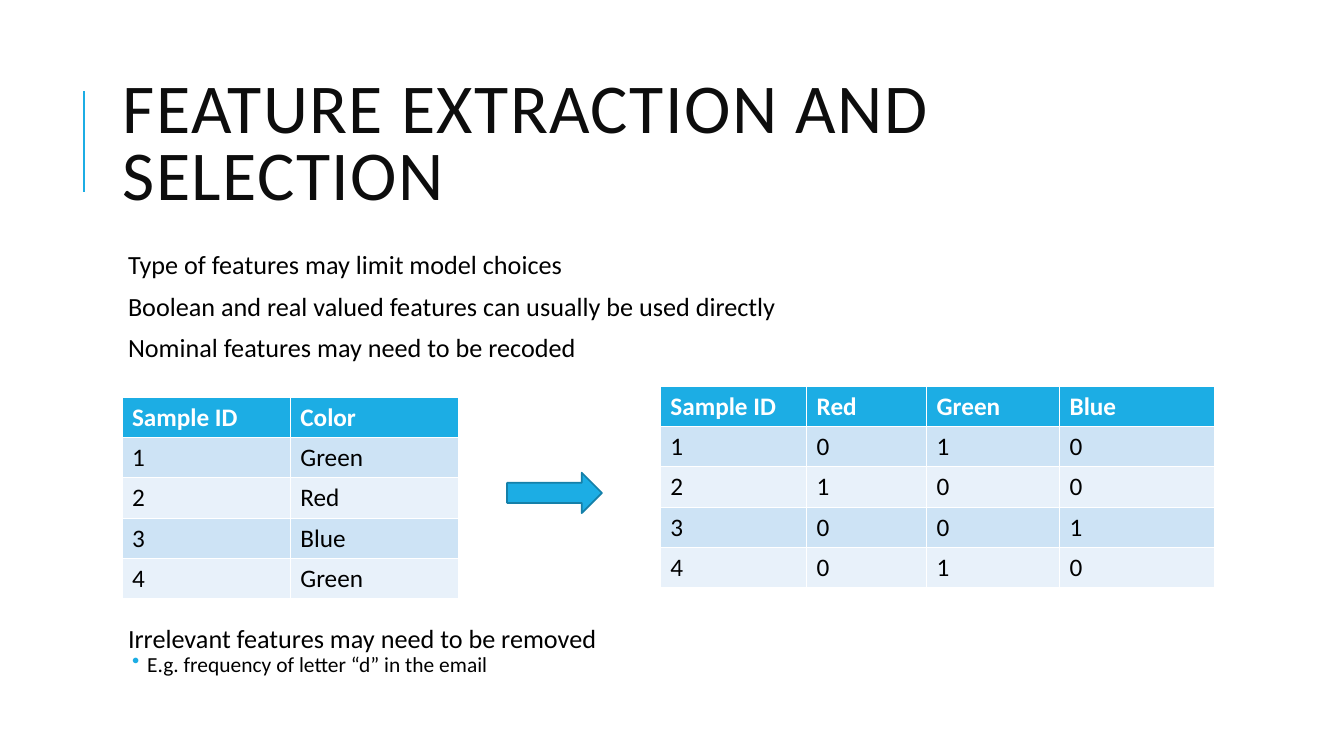
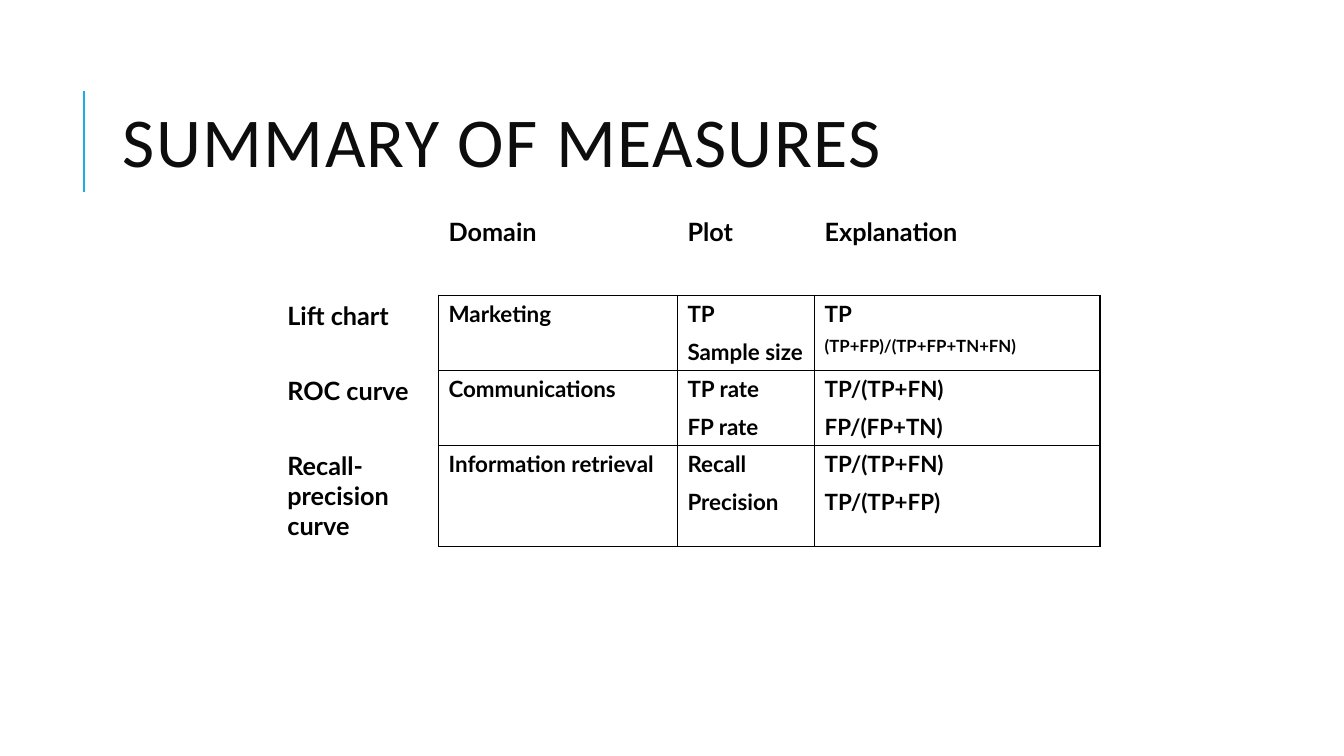
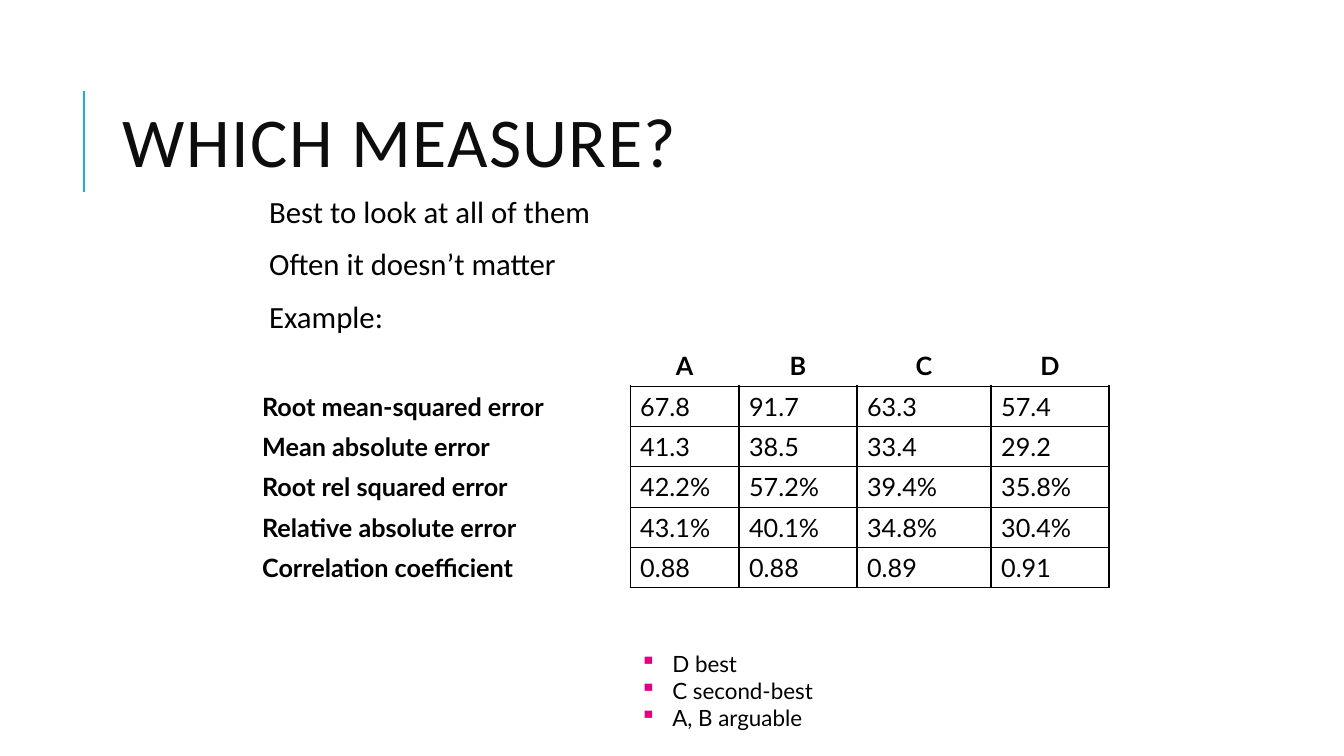
from lxml import etree
from pptx import Presentation
from pptx import util as u
from pptx.dml.color import RGBColor
from pptx.enum import shapes, text
from pptx.oxml import ns

BLUE = RGBColor(0x1C, 0xAD, 0xE4)
DARK_BLUE = RGBColor(0x15, 0x80, 0xA9)
BAND_DARK = RGBColor(0xCD, 0xE3, 0xF5)
BAND_LIGHT = RGBColor(0xE8, 0xF1, 0xFA)
PINK = RGBColor(0xE2, 0x00, 0x7F)
TITLE_INK = RGBColor(0x0D, 0x0D, 0x0D)
BLACK = RGBColor(0, 0, 0)
WHITE = RGBColor(0xFF, 0xFF, 0xFF)


def add_lines(frame, lines, size, font="Calibri", color=BLACK, bold=False, before=0, after=0,
              spacing=1.0, margin=0, hanging=0, bullet=None, bullet_color=BLUE):
    for line in lines:
        paragraph = frame.add_paragraph() if frame.text else frame.paragraphs[0]
        paragraph.line_spacing = spacing
        paragraph.space_before = u.Pt(before)
        paragraph.space_after = u.Pt(after)
        properties = paragraph._p.get_or_add_pPr()
        properties.set("marL", str(u.Inches(margin)))
        properties.set("indent", str(-u.Inches(hanging)))
        if bullet:
            holder = etree.SubElement(properties, ns.qn("a:buClr"))
            etree.SubElement(holder, ns.qn("a:srgbClr"), val=str(bullet_color))
            etree.SubElement(properties, ns.qn("a:buChar"), char=bullet)
        run = paragraph.add_run()
        run.text = line
        run.font.size = u.Pt(size)
        run.font.name = font
        run.font.bold = bold
        run.font.color.rgb = color


def add_grid(slide, left, top, widths, heights, rows, ruled=False, body_size=18, body_bold=False):
    table = slide.shapes.add_table(len(rows), len(widths), u.Inches(left), u.Inches(top),
                                   u.Inches(sum(widths)), u.Inches(sum(heights))).table
    for column, width in zip(table.columns, widths):
        column.width = u.Inches(width)
    for row, height in zip(table.rows, heights):
        row.height = u.Inches(height)
    for r, row in enumerate(rows):
        for c, content in enumerate(row):
            cell = table.cell(r, c)
            heading = r == 0 or (ruled and c == 0)
            size = 18 if heading else body_size
            if content:
                add_lines(cell.text_frame, content.split("\n"), size, "Lato" if ruled else "Calibri",
                          BLACK if ruled or r else WHITE, heading or body_bold, before=size / 2)
            if not ruled:
                cell.fill.solid()
                cell.fill.fore_color.rgb = BLUE if r == 0 else BAND_DARK if r % 2 else BAND_LIGHT
                continue
            cell.fill.background()
            if r == 0 and c:
                for paragraph in cell.text_frame.paragraphs:
                    paragraph.alignment = text.PP_ALIGN.CENTER if len(content) == 1 else text.PP_ALIGN.LEFT
            inside = r > 0 and c > 0
            borders = (("lnL", inside), ("lnR", r > 0), ("lnT", inside), ("lnB", c > 0))
            for position, (side, shown) in enumerate(borders):
                border = etree.Element(ns.qn("a:" + side), w=str(u.Pt(1)))
                paint = etree.SubElement(border, ns.qn("a:solidFill" if shown else "a:noFill"))
                if shown:
                    etree.SubElement(paint, ns.qn("a:srgbClr"), val=str(BLACK))
                cell._tc.get_or_add_tcPr().insert(position, border)
    return table


presentation = Presentation()
presentation.slide_width = u.Inches(13.33)
presentation.slide_height = u.Inches(7.5)

slides = []
for title in ("FEATURE EXTRACTION AND SELECTION", "SUMMARY OF MEASURES", "WHICH MEASURE?"):
    slide = presentation.slides.add_slide(presentation.slide_layouts[6])
    rail = slide.shapes.add_connector(shapes.MSO_CONNECTOR.STRAIGHT, u.Inches(0.83), u.Inches(1.9),
                                      u.Inches(0.83), u.Inches(0.9))
    rail.line.color.rgb = BLUE
    rail.line.width = u.Pt(1.5)
    etree.SubElement(rail._element.spPr, ns.qn("a:effectLst"))
    frame = slide.shapes.add_textbox(u.Inches(1.12), u.Inches(0.64), u.Inches(10.63), u.Inches(1.64)).text_frame
    frame.word_wrap = True
    frame.vertical_anchor = text.MSO_ANCHOR.MIDDLE
    add_lines(frame, [title], 50, color=TITLE_INK, spacing=0.8)
    frame.paragraphs[0].runs[0].font._element.set("spc", "100")
    slides.append(slide)
features, summary, measures = slides

frames = []
for slide, left, top, width, height, inset in (
    (features, 1.12, 2.5, 10.63, 1.3, 0.05),
    (features, 1.12, 6.21, 10.63, 0.69, 0.05),
    (measures, 2.12, 1.9, 8.25, 1.5, 0.05),
    (measures, 6.25, 6.4, 2.25, 0.68, 0.1),
):
    frame = slide.shapes.add_textbox(u.Inches(left), u.Inches(top), u.Inches(width), u.Inches(height)).text_frame
    frame.word_wrap = True
    frame.margin_left = frame.margin_right = u.Inches(inset)
    frames.append(frame)
feature_types, irrelevant, advice, ranking = frames

add_lines(feature_types, [
    "Type of features may limit model choices",
    "Boolean and real valued features can usually be used directly",
    "Nominal features may need to be recoded",
], 18.7, before=12, after=2, spacing=0.7, margin=0.1)
add_lines(irrelevant, ["Irrelevant features may need to be removed"], 18.7,
          before=12, after=2, spacing=0.7, margin=0.1)
add_lines(irrelevant, ["E.g. frequency of letter “d” in the email"], 15.3,
          before=2, after=4, spacing=0.7, margin=0.29, hanging=0.15, bullet="•")

sample_colors = ["Green", "Red", "Blue", "Green"]
color_names = ["Red", "Green", "Blue"]
nominal_rows = [["Sample ID", "Color"]]
recoded_rows = [["Sample ID"] + color_names]
for number, color in enumerate(sample_colors, 1):
    nominal_rows.append([str(number), color])
    recoded_rows.append([str(number)] + [str(int(color == name)) for name in color_names])
add_grid(features, 1.21, 3.94, [1.67] * 2, [0.4] * 5, nominal_rows)
add_grid(features, 6.55, 3.83, [1.45, 1.19, 1.32, 1.54], [0.4] * 5, recoded_rows)

arrow = features.shapes.add_shape(shapes.MSO_SHAPE.RIGHT_ARROW, u.Inches(5.03), u.Inches(4.69),
                                  u.Inches(0.94), u.Inches(0.4))
arrow.shadow.inherit = False
arrow.fill.solid()
arrow.fill.fore_color.rgb = BLUE
arrow.line.color.rgb = DARK_BLUE
arrow.line.width = u.Pt(1.25)

summary_table = add_grid(summary, 2.75, 2.1, [1.6, 2.37, 1.36, 2.83], [0.83, 0.74, 0.74, 1], [
    ["", "Domain", "Plot", "Explanation"],
    ["Lift chart", "Marketing", "TP\nSample size", "TP\n(TP+FP)/(TP+FP+TN+FN)"],
    ["ROC curve", "Communications", "TP rate\nFP rate", "TP/(TP+FN)\nFP/(FP+TN)"],
    ["Recall-precision curve", "Information retrieval", "Recall\nPrecision", "TP/(TP+FN)\nTP/(TP+FP)"],
], ruled=True, body_size=16, body_bold=True)
sample_size = summary_table.cell(1, 3).text_frame.paragraphs[1]
sample_size.space_before = u.Pt(6)
sample_size.runs[0].font.size = u.Pt(12)

add_lines(advice, ["Best to look at all of them", "Often it doesn’t matter", "Example:"], 22,
          before=12, after=2, spacing=0.9, margin=0.5)
add_grid(measures, 2.5, 3.43, [3.75, 1.08, 1.17, 1.33, 1.17], [0.4] * 6, [
    ["", "A", "B", "C", "D"],
    ["Root mean-squared error", "67.8", "91.7", "63.3", "57.4"],
    ["Mean absolute error", "41.3", "38.5", "33.4", "29.2"],
    ["Root rel squared error", "42.2%", "57.2%", "39.4%", "35.8%"],
    ["Relative absolute error", "43.1%", "40.1%", "34.8%", "30.4%"],
    ["Correlation coefficient", "0.88", "0.88", "0.89", "0.91"],
], ruled=True)
add_lines(ranking, ["D best", "C second-best", "A, B arguable"], 16, "Lato",
          margin=0.32, hanging=0.32, bullet="▪", bullet_color=PINK)

presentation.save("out.pptx")
